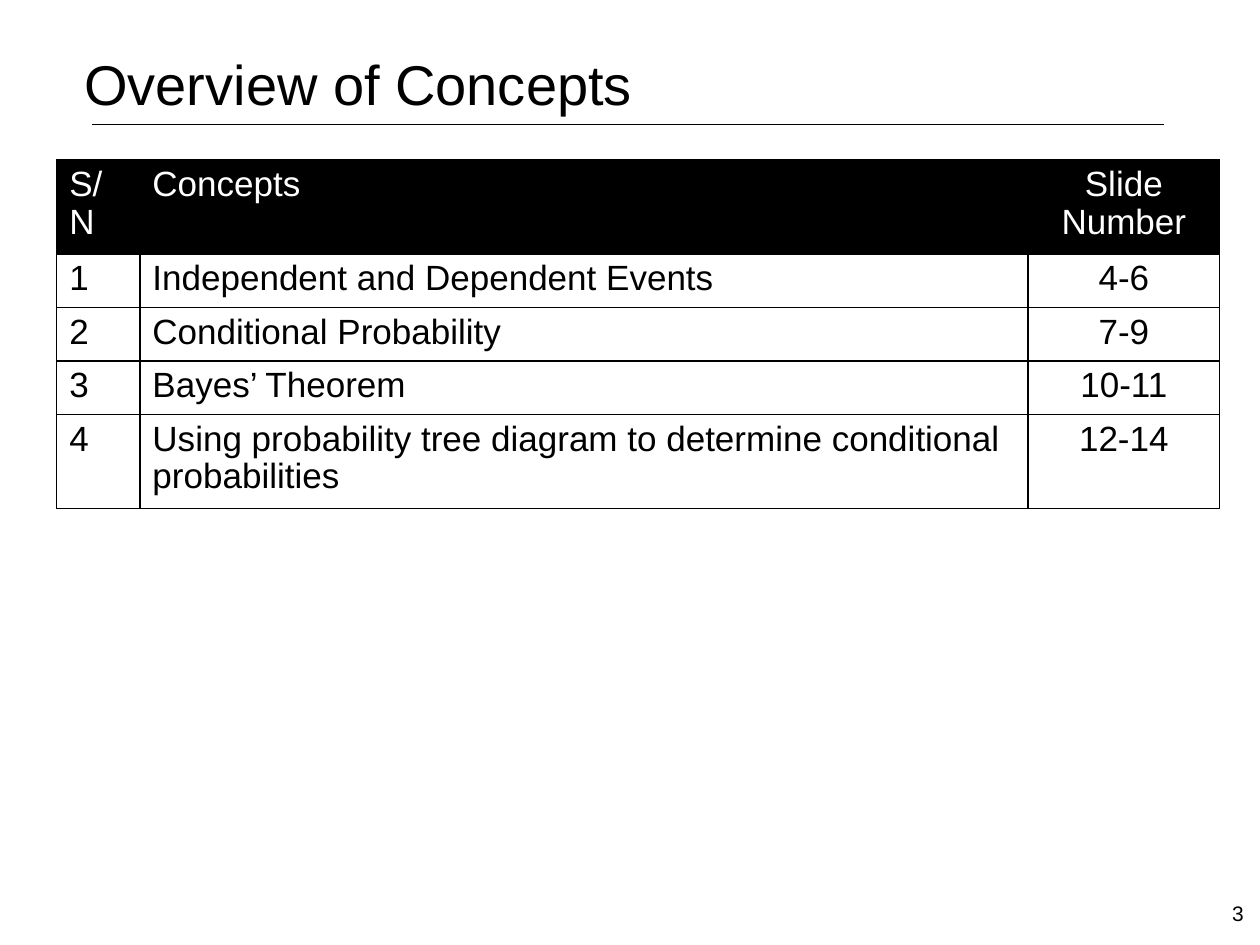
from lxml.etree import SubElement
from pptx import Presentation
from pptx.dml.color import RGBColor
from pptx.enum.shapes import MSO_CONNECTOR
from pptx.enum.text import PP_ALIGN
from pptx.oxml.ns import qn
from pptx.util import Inches, Pt

COLORS = {"ink": "000000", "paper": "FFFFFF"}


def write_text(frame, text, size, color="ink", **paragraph_format):
    paragraph = frame.paragraphs[0]
    for name, value in paragraph_format.items():
        setattr(paragraph, name, value)
    run = paragraph.add_run()
    run.text = text
    for name, value in {"name": "Arial", "size": Pt(size)}.items():
        setattr(run.font, name, value)
    run.font.color.rgb = RGBColor.from_string(COLORS[color])


def add_border(cell, side):
    line = SubElement(cell._tc.get_or_add_tcPr(), qn(f"a:{side}"), w=str(Pt(1)))
    fill = SubElement(line, qn("a:solidFill"))
    SubElement(fill, qn("a:srgbClr"), val=COLORS["ink"])


presentation = Presentation()
presentation.slide_width = Inches(10)
presentation.slide_height = Inches(7.5)
slide = presentation.slides.add_slide(presentation.slide_layouts[6])

rule = slide.shapes.add_connector(
    MSO_CONNECTOR.STRAIGHT, Inches(0.73), Inches(0.99), Inches(9.24), Inches(0.99)
)
rule.line.width = Pt(0.25)
rule.line.color.rgb = RGBColor.from_string(COLORS["ink"])
SubElement(rule._element.spPr, qn("a:effectLst"))

text_boxes = [
    ("Overview of Concepts", 32, (0.57, 0.3, 8.89, 1.25), 0.09),
    ("3", 12, (9.68, 7.1, 0.32, 0.4), 0.05),
]
for text, size, bounds, top_margin in text_boxes:
    frame = slide.shapes.add_textbox(*map(Inches, bounds)).text_frame
    frame.word_wrap = True
    frame.margin_top = Inches(top_margin)
    write_text(frame, text, size)

rows = [
    ("S/N", "Concepts", "Slide Number"),
    ("1", "Independent and Dependent Events", "4-6"),
    ("2", "Conditional Probability", "7-9"),
    ("3", "Bayes’ Theorem", "10-11"),
    ("4", "Using probability tree diagram to determine conditional probabilities", "12-14"),
]
column_widths = [0.66, 7.05, 1.52]
row_heights = [0.72, 0.41, 0.41, 0.41, 0.72]
alignments = [PP_ALIGN.LEFT, PP_ALIGN.LEFT, PP_ALIGN.CENTER]

table = slide.shapes.add_table(
    len(rows), len(column_widths), Inches(0.45), Inches(1.27),
    Inches(sum(column_widths)), Inches(sum(row_heights)),
).table
for column, width in zip(table.columns, column_widths):
    column.width = Inches(width)
for row, height in zip(table.rows, row_heights):
    row.height = Inches(height)

for row_index, row in enumerate(rows):
    background, text_color = ("ink", "paper") if row_index == 0 else ("paper", "ink")
    for column_index, text in enumerate(row):
        cell = table.cell(row_index, column_index)
        for side in ("lnL", "lnR", "lnT", "lnB"):
            add_border(cell, side)
        cell.fill.solid()
        cell.fill.fore_color.rgb = RGBColor.from_string(COLORS[background])
        write_text(
            cell.text_frame, text, 20, text_color,
            alignment=alignments[column_index], line_spacing=0.97,
        )

presentation.save("out.pptx")
